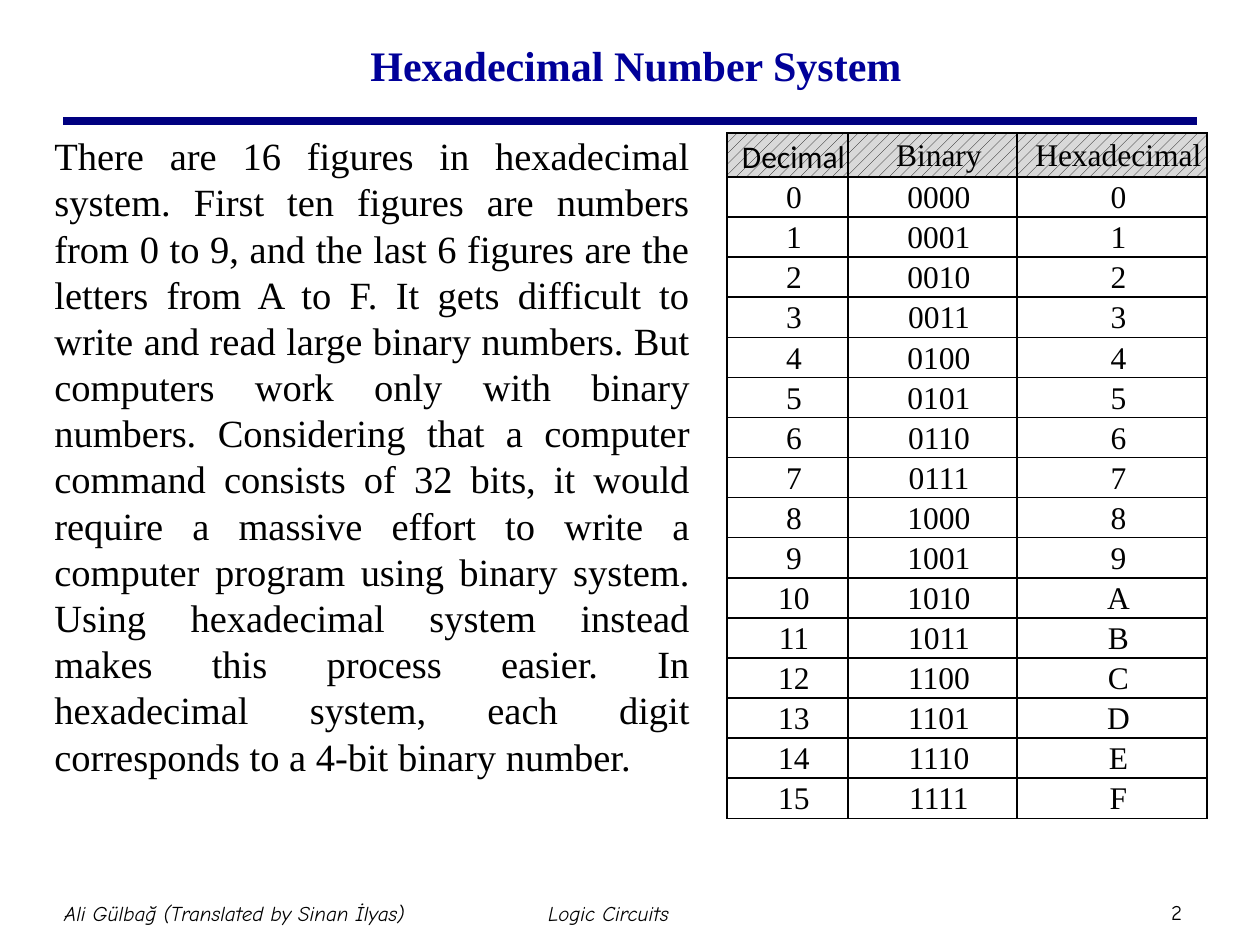
import lxml.etree
import pptx
import pptx.dml.color
import pptx.enum.dml
import pptx.enum.shapes
import pptx.enum.text
import pptx.oxml.ns
import pptx.util

PX = 914400 / 126
COLORS = {"text": "000000", "title": "000099", "rule": "000080",
          "border": "000000", "hatch": "000000", "header": "D9D9D9"}
SERIF, FOOTER_FONT = "Times New Roman", "Comic Neue"
ALIGN = pptx.enum.text.PP_ALIGN
MIDDLE = pptx.enum.text.MSO_ANCHOR.MIDDLE

BODY = (
    "There are 16 figures in hexadecimal system. First ten figures are numbers "
    "from 0 to 9, and the last 6 figures are the letters from A to F. It gets "
    "difficult to write and read large binary numbers. But computers work only "
    "with binary numbers. Considering that a computer command consists of 32 bits, "
    "it would require a massive effort to write a computer program using binary "
    "system. Using hexadecimal system instead makes this process easier. In "
    "hexadecimal system, each digit corresponds to a 4-bit binary number."
)


def px(length):
    return pptx.util.Emu(round(length * PX))


def rgb(name):
    return pptx.dml.color.RGBColor.from_string(COLORS[name])


def set_attributes(target, values):
    for name, value in values.items():
        setattr(target, name, value)


def write(paragraph, text, size, font=SERIF, color="text", font_format=None, **layout):
    run = paragraph.add_run()
    run.text = text
    set_attributes(run.font, {"name": font, "size": pptx.util.Pt(size), **(font_format or {})})
    run.font.color.rgb = rgb(color)
    set_attributes(paragraph, layout)


def add_text(slide, box, text, size, frame_format=None, **style):
    frame = slide.shapes.add_textbox(*map(px, box)).text_frame
    set_attributes(frame, {"word_wrap": True, **(frame_format or {})})
    write(frame.paragraphs[0], text, size, **style)


def add_header(slide, box):
    """Place the title above the rule that closes the header box."""
    left, top, width, height = box
    bottom = top + height
    add_text(slide, (left + 12, top, width - 12, height - 1), "Hexadecimal Number System", 24,
             {"vertical_anchor": MIDDLE}, color="title", font_format={"bold": True},
             alignment=ALIGN.CENTER)
    rule = slide.shapes.add_connector(pptx.enum.shapes.MSO_CONNECTOR.STRAIGHT,
                                      px(left), px(bottom), px(left + width), px(bottom))
    rule.line.width = pptx.util.Pt(4.5)
    rule.line.color.rgb = rgb("rule")
    lxml.etree.SubElement(rule._element.spPr, pptx.oxml.ns.qn("a:effectLst"))


def add_body(slide, box):
    add_text(slide, box, BODY, 22, alignment=ALIGN.JUSTIFY)


def add_borders(cell):
    properties = cell._tc.get_or_add_tcPr()
    for index, side in enumerate(("lnL", "lnR", "lnT", "lnB")):
        line = pptx.oxml.parse_xml(
            f'<a:{side} {pptx.oxml.ns.nsdecls("a")} w="12700"><a:solidFill>'
            f'<a:srgbClr val="{COLORS["border"]}"/></a:solidFill></a:{side}>')
        properties.insert(index, line)


def fill_cell(cell, text, is_header, **style):
    set_attributes(cell, {"margin_left": px(2), "margin_right": px(2),
                          "margin_top": 0, "margin_bottom": 0})
    if is_header:
        cell.fill.patterned()
        cell.fill.pattern = pptx.enum.dml.MSO_PATTERN.PERCENT_20
        cell.fill.fore_color.rgb = rgb("hatch")
        cell.fill.back_color.rgb = rgb("header")
    else:
        cell.vertical_anchor = MIDDLE
        cell.fill.background()
    add_borders(cell)
    paragraph = cell.text_frame.paragraphs[0]
    paragraph._p.get_or_add_pPr().set("marL", str(px(13)))
    write(paragraph, text, 18, line_spacing=1.15 if is_header else 1.06, **style)


def add_number_table(slide, box):
    rows = [("Decimal", "Binary", "Hexadecimal")]
    rows += [(str(number), f"{number:04b}", f"{number:X}") for number in range(16)]
    table = slide.shapes.add_table(len(rows), 3, *map(px, box)).table
    set_attributes(table, {"first_row": False, "horz_banding": False})
    for column, width in zip(table.columns, (121, 169, 190)):
        column.width = px(width)
    for row_index, texts in enumerate(rows):
        is_header = row_index == 0
        table.rows[row_index].height = px(44 if is_header else 40)
        for column_index, text in enumerate(texts):
            style = {"alignment": ALIGN.CENTER}
            if is_header and column_index == 0:
                style = {"alignment": ALIGN.JUSTIFY, "font": "Calibri"}
            fill_cell(table.cell(row_index, column_index), text, is_header, **style)


def add_footer(slide, box):
    left, top, width, height = box
    frame_format = {"vertical_anchor": MIDDLE}
    for side in ("left", "right", "top", "bottom"):
        frame_format[f"margin_{side}"] = px(6)
    parts = (
        ("Ali Gülbağ (Translated by Sinan İlyas)", (left, top, 451, height), True),
        ("Logic Circuits", (left + 374, top, 451, height), True),
        ("2", (left + width - 59, top + 11, 59, 38), False),
    )
    for text, part_box, italic in parts:
        add_text(slide, part_box, text, 12, frame_format, font=FOOTER_FONT,
                 font_format={"italic": italic}, alignment=ALIGN.CENTER)


def main():
    presentation = pptx.Presentation()
    set_attributes(presentation, {"slide_width": px(1260), "slide_height": px(945)})
    slide = presentation.slides.add_slide(presentation.slide_layouts[6])
    add_header(slide, (63, 10, 1134, 111))
    add_footer(slide, (9, 882, 1197, 63))
    add_body(slide, (42, 126, 660, 699))
    add_number_table(slide, (727, 133, 480, 684))
    presentation.save("out.pptx")


if __name__ == "__main__":
    main()
